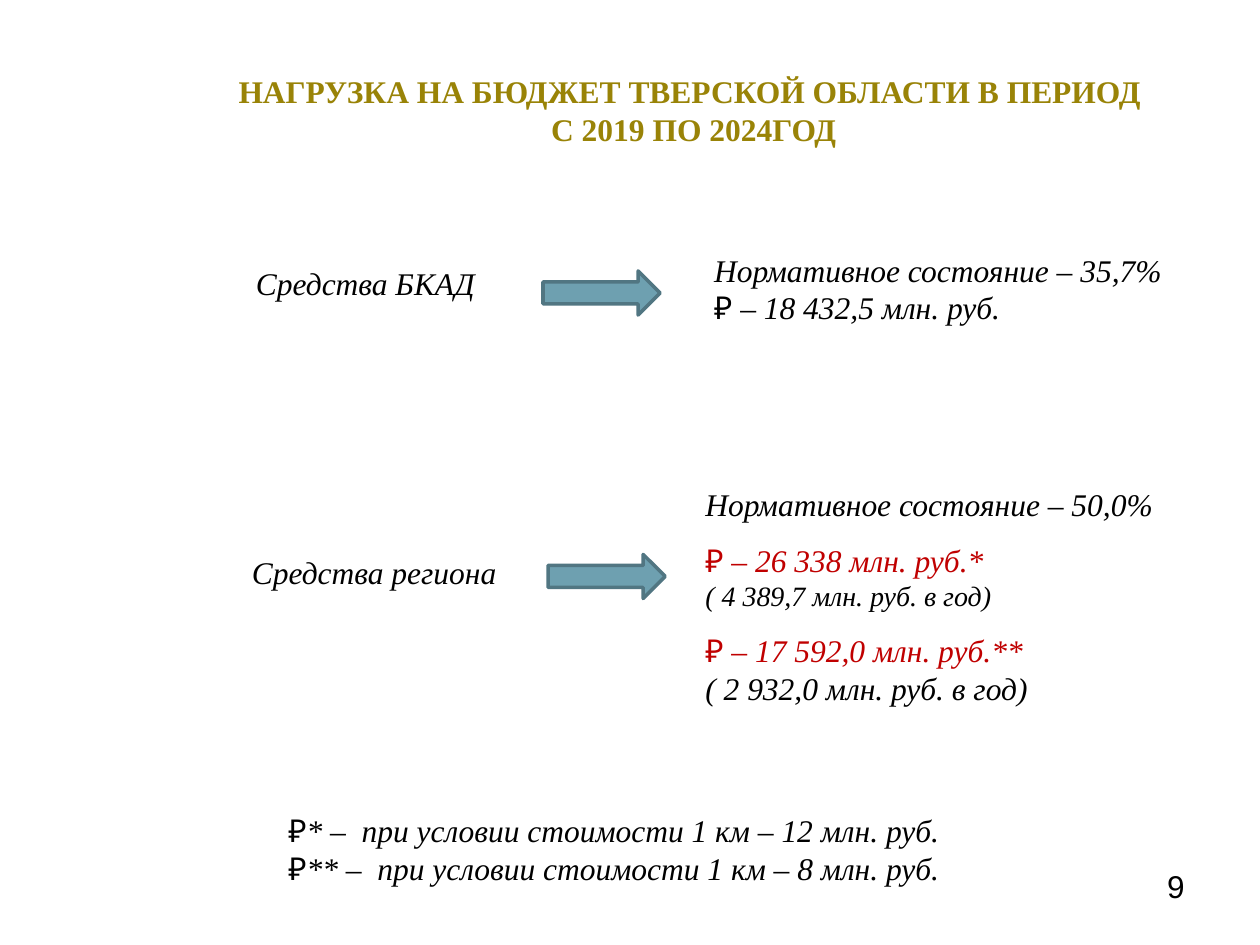
from pptx import Presentation
from pptx.dml.color import RGBColor
from pptx.enum.shapes import MSO_SHAPE as Shape
from pptx.enum.text import MSO_ANCHOR as Anchor, PP_ALIGN as Align
from pptx.util import Inches, Pt

BLACK = RGBColor(0x00, 0x00, 0x00)
GOLD = RGBColor(0x99, 0x83, 0x07)
RED = RGBColor(0xC0, 0x00, 0x00)
TEAL = RGBColor(0x6E, 0xA0, 0xB0)
DARK_TEAL = RGBColor(0x51, 0x76, 0x82)

SERIF, SANS = "Times New Roman", "Arial"
ROUBLE = "₽"
COLUMNS, ROWS = 100, 75
CELL = Inches(0.1)


class SlideBuilder:
    """Holds the style and the current slide; places items on a 100 x 75 grid."""

    def __init__(self, deck):
        """Add a blank page to the deck."""
        self.page = deck.slides.add_slide(deck.slide_layouts[6])

    def place(self, *cells):
        """Turn grid units into lengths."""
        return [round(cell * CELL) for cell in cells]

    def span(self, para, text, font=SERIF, size=18, color=BLACK, bold=False, italic=True):
        """Add one formatted run to a paragraph."""
        span = para.add_run()
        span.text = text
        span.font.name, span.font.size = font, Pt(size)
        span.font.color.rgb = color
        span.font.bold, span.font.italic = bold, italic

    def text(self, area, lines, align=Align.LEFT, top_inset=0.05, **style):
        """Add a text box; each line is a string or a (string, changes) pair."""
        frame = self.page.shapes.add_textbox(*self.place(*area)).text_frame
        frame.word_wrap = True
        frame.vertical_anchor = Anchor.TOP
        frame.margin_top = Inches(top_inset)
        for index, line in enumerate(lines):
            words, changes = (line, {}) if isinstance(line, str) else line
            look = {**style, **changes}
            para = frame.paragraphs[0] if index == 0 else frame.add_paragraph()
            para.alignment = align
            para.space_before = Pt(look.pop("gap", 0))
            if words.startswith(ROUBLE):
                self.span(para, ROUBLE, **{**look, "font": SANS, "italic": False})
                words = words[len(ROUBLE):]
            self.span(para, words, **look)

    def arrow(self, left, top):
        """Add a block arrow pointing right."""
        arrow = self.page.shapes.add_shape(
            Shape.RIGHT_ARROW, *self.place(left, top, 9.3, 3.5))
        arrow.shadow.inherit = False
        arrow.fill.solid()
        arrow.fill.fore_color.rgb = TEAL
        arrow.line.color.rgb = DARK_TEAL
        arrow.line.width = Pt(2)


def main():
    """Build and save the slide."""
    deck = Presentation()
    deck.slide_width, deck.slide_height = COLUMNS * CELL, ROWS * CELL
    slide = SlideBuilder(deck)

    slide.text((9.5, 2.9, 90.5, 8.5),
               ["НАГРУЗКА НА БЮДЖЕТ ТВЕРСКОЙ ОБЛАСТИ В ПЕРИОД", " С 2019 ПО 2024ГОД"],
               Align.CENTER, top_inset=0.28, color=GOLD, bold=True, italic=False)

    sources = [
        ("Средства БКАД", (11.2, 20.5), (43.1, 21.5), (55.7, 19.4, 44.3, 7.1),
         ["Нормативное состояние – 35,7%", "₽ – 18 432,5 млн. руб."]),
        ("Средства региона", (11.9, 43.4), (43.5, 44), (55, 38, 44.3, 22.7),
         ["Нормативное состояние – 50,0%",
          ("₽ – 26 338 млн. руб.*", {"color": RED, "gap": 10.5}),
          ("( 4 389,7 млн. руб. в год)", {"size": 16}),
          ("₽ – 17 592,0 млн. руб.**", {"color": RED, "gap": 10.5}),
          "( 2 932,0 млн. руб. в год)"]),
    ]
    for name, name_corner, arrow_corner, result_area, results in sources:
        slide.arrow(*arrow_corner)
        slide.text((*name_corner, 35.6, 4), [name], Align.CENTER)
        slide.text(result_area, results)

    slide.text((21.9, 63.9, 60.4, 7.1),
               [f"₽{mark} –  при условии стоимости 1 км – {cost} млн. руб."
                for mark, cost in (("*", 12), ("**", 8))])
    slide.text((71.7, 68.3, 23.3, 5.2), ["9"], Align.RIGHT, font=SANS, italic=False)

    deck.save("out.pptx")


main()
